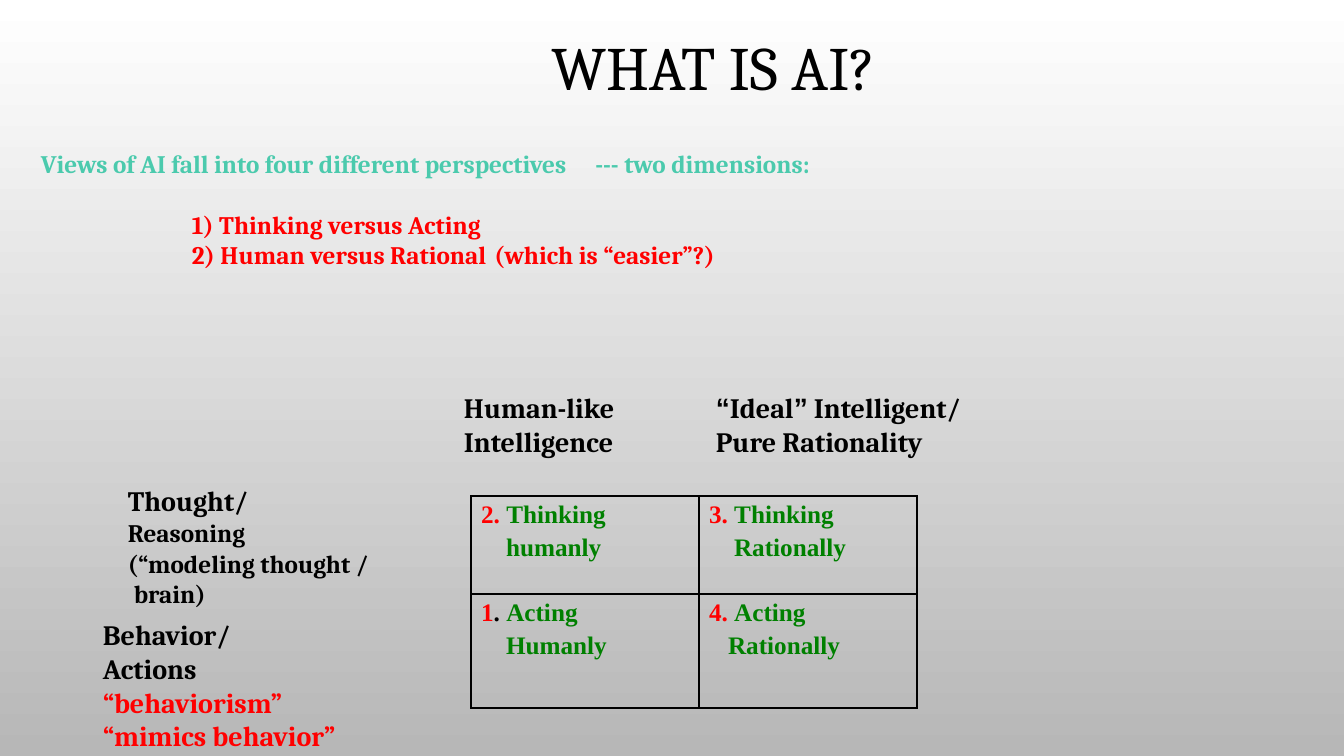
from lxml import etree
from pptx import Presentation
from pptx.dml.color import RGBColor
from pptx.enum.text import MSO_ANCHOR, PP_ALIGN
from pptx.oxml.ns import qn
from pptx.util import Pt

EMU_PER_PX = 914400 / 100.8
BLACK = RGBColor(0x00, 0x00, 0x00)
WHITE = RGBColor(0xFF, 0xFF, 0xFF)
GRAY = RGBColor(0xB7, 0xB7, 0xB7)
RED = RGBColor(0xFF, 0x00, 0x00)
GREEN = RGBColor(0x00, 0x80, 0x00)
TEAL = RGBColor(0x4B, 0xCA, 0xAD)
CENTER = PP_ALIGN.CENTER
MIDDLE = MSO_ANCHOR.MIDDLE
TITLE_ONLY = 5
CAMBRIA = "Cambria"
TIMES = "Times New Roman"

# Each cell: number, colour of its dot, first word, second word, indent of the second word
QUADRANTS = [
    [("2", RED, "Thinking", "humanly", 25), ("3", RED, "Thinking", "Rationally", 25)],
    [("1", BLACK, "Acting", "Humanly", 25), ("4", RED, "Acting", "Rationally", 19)],
]
COLUMN_WIDTHS = [228, 218]
ROW_HEIGHTS = [98, 114]


def px(length):
    return round(length * EMU_PER_PX)


def place(shape, left, top, width, height):
    shape.left, shape.top = px(left), px(top)
    shape.width, shape.height = px(width), px(height)


def add_run(paragraph, text, size=20, color=BLACK, font=CAMBRIA, bold=True):
    run = paragraph.add_run()
    run.text = text
    run.font.size = Pt(size)
    run.font.name = font
    run.font.bold = bold
    run.font.color.rgb = color


def next_paragraph(text_frame, indent=0, tab=None, space_before=0):
    """Return the empty first paragraph, or a new one after the written text."""
    first = text_frame.paragraphs[0]
    paragraph = text_frame.add_paragraph() if first.runs else first
    properties = paragraph._p.get_or_add_pPr()
    properties.set("marL", str(px(indent)))
    properties.set("indent", "0")
    if tab is not None:
        tab_list = etree.SubElement(properties, qn("a:tabLst"))
        etree.SubElement(tab_list, qn("a:tab"), pos=str(px(tab)), algn="l")
    if space_before:
        paragraph.space_before = Pt(space_before)
    return paragraph


def add_text_box(slide, left, top, width, height):
    box = slide.shapes.add_textbox(px(left), px(top), px(width), px(height))
    box.text_frame.word_wrap = True
    return box.text_frame


def add_label(slide, left, top, width, height, lines):
    """Add a bold label; each line is its text and its format."""
    text_frame = add_text_box(slide, left, top, width, height)
    for text, text_format in lines:
        add_run(next_paragraph(text_frame), text, **text_format)
    return text_frame


def set_background(slide):
    fill = slide.background.fill
    fill.gradient()
    fill.gradient_angle = 270
    for stop, position, color in zip(fill.gradient_stops, (0, 1), (WHITE, GRAY)):
        stop.position = position
        stop.color.rgb = color


def add_title(slide):
    title = slide.shapes.title
    place(title, 285, 8, 857, 126)
    title.text_frame.vertical_anchor = MIDDLE
    paragraph = title.text_frame.paragraphs[0]
    paragraph.alignment = CENTER
    paragraph.line_spacing = 0.9
    add_run(paragraph, "WHAT IS AI?", size=44, bold=False)


def add_perspectives(slide):
    text_frame = add_text_box(slide, 31, 143, 1295, 163)
    views = next_paragraph(text_frame, tab=543)
    add_run(views, "Views of AI fall into four different perspectives\t--- two dimensions:",
            size=18, color=TEAL)
    thinking = next_paragraph(text_frame, indent=151, space_before=22)
    add_run(thinking, "1) Thinking versus Acting", size=18, color=RED)
    human = next_paragraph(text_frame, indent=151, tab=469)
    add_run(human, "2) Human versus Rational\t(which is “easier”?)", size=18, color=RED)


def add_axis_labels(slide):
    thought = add_label(slide, 118, 479, 321, 136, [
        ("Thought/", {}),
        ("Reasoning", {"size": 18}),
        ("(“modeling thought /", {"size": 18}),
    ])
    add_run(next_paragraph(thought, indent=6), "brain)", size=18)
    add_label(slide, 93, 613, 340, 146, [
        ("Behavior/", {}),
        ("Actions", {}),
        ("“behaviorism”", {"color": RED}),
        ("“mimics behavior”", {"color": RED}),
    ])
    add_label(slide, 454, 386, 198, 78, [("Human-like", {}), ("Intelligence", {})])
    ideal = add_text_box(slide, 706, 386, 310, 78)
    heading = next_paragraph(ideal)
    for text, font in [("“", "Arial"), ("Ideal", CAMBRIA), ("”", "Arial"),
                       (" Intelligent/", CAMBRIA)]:
        add_run(heading, text, font=font)
    add_run(next_paragraph(ideal), "Pure Rationality")


def set_borders(cell):
    properties = cell._tc.get_or_add_tcPr()
    for position, side in enumerate(("a:lnL", "a:lnR", "a:lnT", "a:lnB")):
        line = etree.Element(qn(side), w=str(Pt(1)))
        fill = etree.SubElement(line, qn("a:solidFill"))
        etree.SubElement(fill, qn("a:srgbClr"), val=str(BLACK))
        properties.insert(position, line)


def fill_quadrant(cell, number, dot_color, verb, manner, indent):
    cell.fill.background()
    set_borders(cell)
    heading = next_paragraph(cell.text_frame)
    for text, color in [(number, RED), (". ", dot_color), (verb, GREEN)]:
        add_run(heading, text, size=18, color=color, font=TIMES)
    second_line = next_paragraph(cell.text_frame, indent=indent, space_before=3.6)
    add_run(second_line, manner, size=18, color=GREEN, font=TIMES)


def add_quadrant_table(slide):
    table = slide.shapes.add_table(
        len(ROW_HEIGHTS), len(COLUMN_WIDTHS), px(471), px(496),
        px(sum(COLUMN_WIDTHS)), px(sum(ROW_HEIGHTS))).table
    table.first_row = False
    table.horz_banding = False
    for column, width in zip(table.columns, COLUMN_WIDTHS):
        column.width = px(width)
    for row, height, quadrants in zip(table.rows, ROW_HEIGHTS, QUADRANTS):
        row.height = px(height)
        for cell, quadrant in zip(row.cells, quadrants):
            fill_quadrant(cell, *quadrant)


def main():
    presentation = Presentation()
    presentation.slide_width = px(1344)
    presentation.slide_height = px(756)
    slide = presentation.slides.add_slide(presentation.slide_layouts[TITLE_ONLY])
    set_background(slide)
    add_title(slide)
    add_quadrant_table(slide)
    add_axis_labels(slide)
    add_perspectives(slide)
    presentation.save("out.pptx")


if __name__ == "__main__":
    main()
